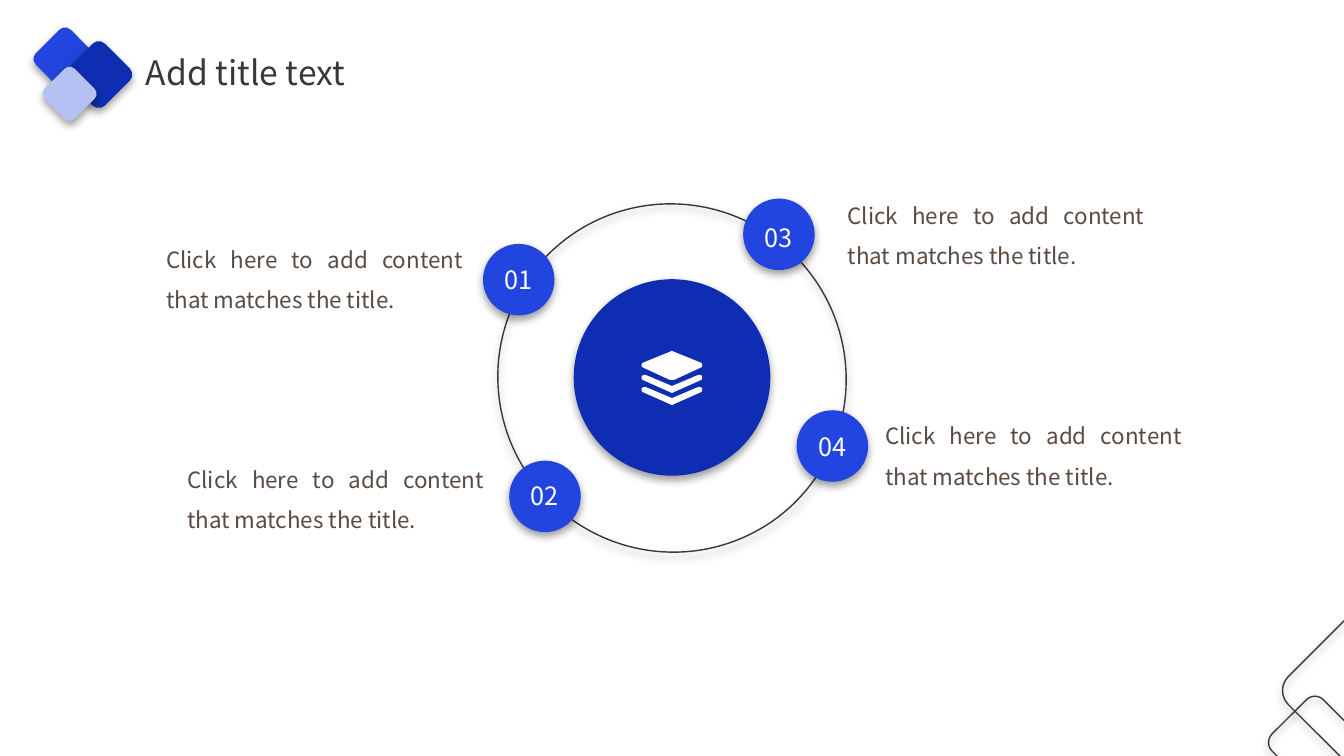
from dataclasses import dataclass

import pptx
import pptx.dml.color
import pptx.enum.dml
import pptx.enum.shapes
import pptx.enum.text
import pptx.oxml
import pptx.oxml.ns
import pptx.util
from pptx.util import Inches

FONT = "Noto Sans CJK SC"
BLUE, NAVY, PALE = "2345DF", "0E2DB2", "B5C1F2"
DARK, BROWN, WHITE = "393737", "594A42", "FFFFFF"
ALIGN = pptx.enum.text.PP_ALIGN
SHAPE = pptx.enum.shapes.MSO_SHAPE
BODY = "Click here to add content that matches the title."
DISC_SIZE = 0.71
SHADOW = (
    f'<a:effectLst {pptx.oxml.ns.nsdecls("a")}>'
    '<a:outerShdw blurRad="76200" dist="38100" dir="5400000" algn="t" rotWithShape="0">'
    '<a:srgbClr val="000000"><a:alpha val="39000"/></a:srgbClr>'
    "</a:outerShdw></a:effectLst>"
)


@dataclass
class Figure:
    left: float
    top: float
    width: float
    height: float
    fill: str | None = None  # without a fill, the outline is drawn


@dataclass
class Step:
    number: str
    disc: tuple[float, float]
    label_drop: float  # from disc top to label top
    body: tuple[float, float]


LOGO_TILES = [
    Figure(0.4, 0.34, 0.49, 0.49, BLUE),
    Figure(0.72, 0.48, 0.52, 0.52, NAVY),
    Figure(0.48, 0.72, 0.42, 0.42, PALE),
]
CORNER_TILES = [Figure(12.68, 7.01, 0.73, 0.72), Figure(12.88, 6.27, 1.18, 1.17)]
HUB = Figure(5.69, 2.77, 1.95, 1.95, NAVY)
RING = Figure(4.93, 2.03, 3.47, 3.44)
STEPS = [
    Step("01", (4.79, 2.42), 0.07, (1.55, 2.26)),
    Step("02", (5.05, 4.57), 0.06, (1.76, 4.44)),
    Step("03", (7.37, 1.97), 0.1, (8.31, 1.82)),
    Step("04", (7.9, 4.07), 0.07, (8.68, 4.01)),
]


def color(value: str) -> pptx.dml.color.RGBColor:
    return pptx.dml.color.RGBColor.from_string(value)


def add_figure(page, kind, figure: Figure) -> None:
    """Draw a shape turned by 45 degrees with a soft shadow."""
    shape = page.shapes.add_shape(
        kind, Inches(figure.left), Inches(figure.top), Inches(figure.width), Inches(figure.height)
    )
    shape.rotation = 45
    if figure.fill:
        shape.fill.solid()
        shape.fill.fore_color.rgb = color(figure.fill)
        shape.line.fill.background()
    else:
        shape.fill.background()
        shape.line.color.rgb = color(DARK)
        shape.line.width = pptx.util.Pt(1)
    shape._element.spPr.append(pptx.oxml.parse_xml(SHADOW))


def write(box, text: str, size: int, ink: str, align=ALIGN.LEFT, spacing: float = 1.0, wrap: bool = True) -> None:
    frame = box.text_frame
    frame.word_wrap = wrap
    frame.auto_size = pptx.enum.text.MSO_AUTO_SIZE.SHAPE_TO_FIT_TEXT
    para = frame.paragraphs[0]
    para.text = text
    para.alignment = align
    para.line_spacing = spacing
    para.font.name = FONT
    para.font.size = pptx.util.Pt(size)
    para.font.color.rgb = color(ink)


def add_text_box(page, left: float, top: float, width: float, height: float):
    return page.shapes.add_textbox(Inches(left), Inches(top), Inches(width), Inches(height))


def add_layers_icon(page) -> None:
    """Draw a lozenge above two chevrons, each mirrored about the hub's axis."""
    center = HUB.left + HUB.width / 2
    lozenge = [(0, 3.48), (0.02, 3.49), (0.29, 3.6), (0.3, 3.61), (0.3, 3.64),
               (0.28, 3.65), (0.02, 3.77), (0, 3.77)]
    chevron = [(0, 3.83), (0.26, 3.72), (0.28, 3.72), (0.3, 3.73), (0.3, 3.76),
               (0.29, 3.77), (0.02, 3.89), (0, 3.9)]
    lower_chevron = [(x, y + 0.12) for x, y in chevron]
    builder = None
    for half in (lozenge, chevron, lower_chevron):
        mirrored = [(-x, y) for x, y in reversed(half)]
        points = [(Inches(center + x), Inches(y)) for x, y in half + mirrored]
        if builder is None:
            builder = page.shapes.build_freeform(*points[0])
        else:
            builder.move_to(*points[0])
        builder.add_line_segments(points[1:], close=True)
    icon = builder.convert_to_shape()
    icon.shadow.inherit = False
    icon.fill.solid()
    icon.fill.fore_color.rgb = color(WHITE)
    icon.line.fill.background()


def add_step(page, step: Step) -> None:
    left, top = step.disc
    add_figure(page, SHAPE.OVAL, Figure(left, top, DISC_SIZE, DISC_SIZE, BLUE))
    label = page.shapes.add_shape(
        SHAPE.OVAL, Inches(left - 0.03), Inches(top + step.label_drop), Inches(0.77), Inches(0.57)
    )
    label.shadow.inherit = False
    label.fill.background()
    label.line.fill.background()
    write(label, step.number, 18, WHITE, ALIGN.CENTER)
    write(add_text_box(page, *step.body, 3.14, 0.86), BODY, 16, BROWN, ALIGN.JUSTIFY, 1.5)


def main() -> None:
    deck = pptx.Presentation()
    deck.slide_width, deck.slide_height = Inches(13.33), Inches(7.5)
    page = deck.slides.add_slide(deck.slide_layouts[6])

    # Header and corner decoration
    for tile in LOGO_TILES + CORNER_TILES:
        add_figure(page, SHAPE.ROUNDED_RECTANGLE, tile)
    write(add_text_box(page, 1.35, 0.47, 2.3, 0.5), "Add title text", 24, DARK, wrap=False)

    # Hub with its icon, and the ring around it
    add_figure(page, SHAPE.OVAL, HUB)
    add_layers_icon(page)
    add_figure(page, SHAPE.OVAL, RING)

    # Numbered steps on the ring
    for step in STEPS:
        add_step(page, step)

    deck.save("out.pptx")


if __name__ == "__main__":
    main()
